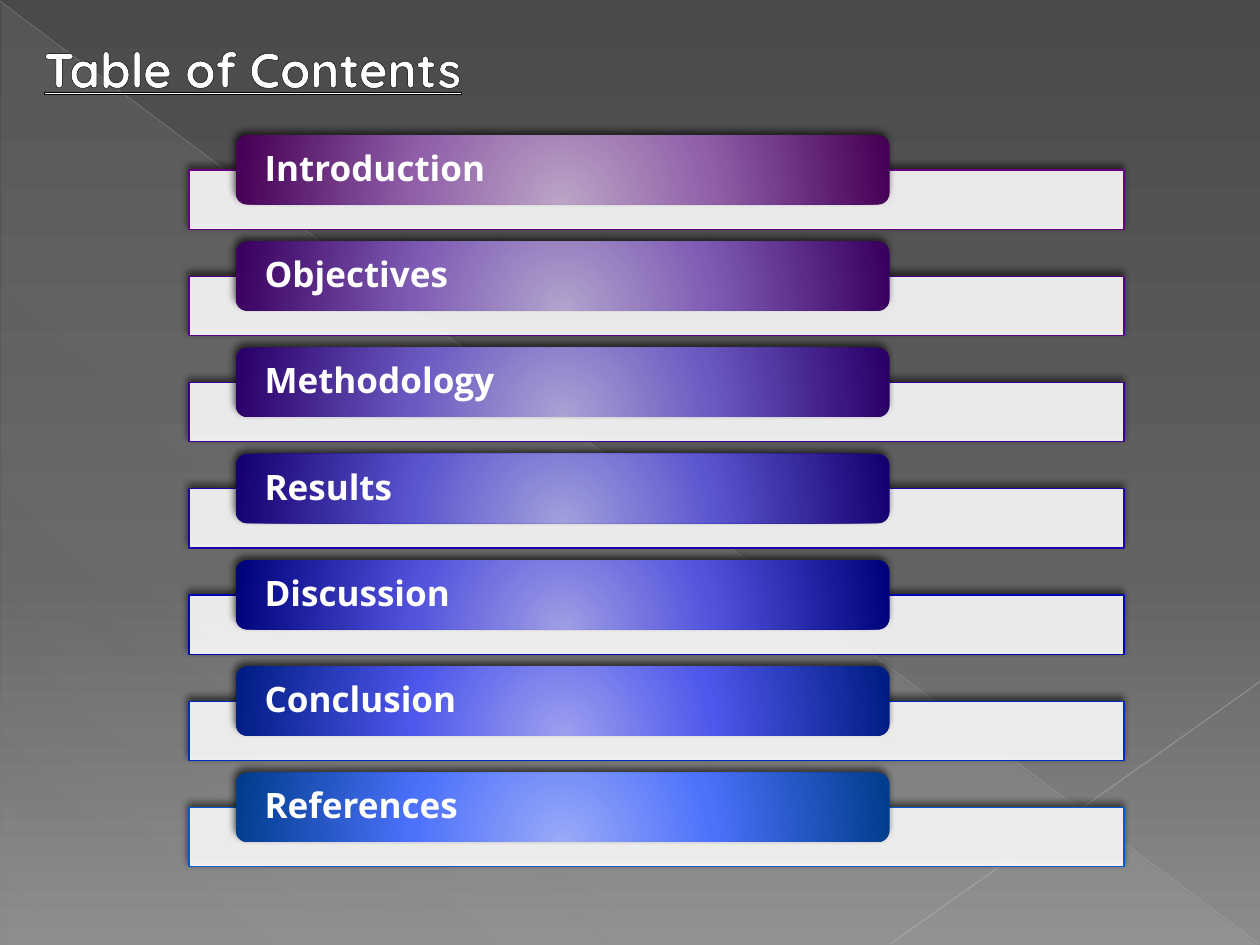
from lxml import etree
from pptx import Presentation
from pptx import util as u
from pptx.dml import color
from pptx.enum import shapes, text
from pptx.oxml import ns

# Content: heading, bar outline, tab gradient colours (centre, middle, edge)
TITLE = "Table of Contents"
SECTIONS = [
    ("Introduction", "68007F", ("BBA5C6", "905FA8", "460055")),
    ("Objectives", "56008D", ("B2A3CD", "7E5CB4", "3A005F")),
    ("Methodology", "3E009B", ("A9A2D4", "6A59C1", "2A0068")),
    ("Results", "2100A9", ("A1A0DC", "5A56CF", "160071")),
    ("Discussion", "0003B7", ("9E9EE5", "5252DD", "00027B")),
    ("Conclusion", "002CC5", ("9C9FEE", "4F57EC", "001D84")),
    ("References", "005BD3", ("9AAAF8", "4C71FB", "003D8E")),
]
BACKGROUND = [(0, "4A4A4A", 100), (60, "626262", 100), (100, "8C8C8C", 100)]
SHEEN = [(0, "D2D2D2", 10), (70, "D2D2D2", 8), (100, "D2D2D2", 1)]
# Decorative lines: start, end, colour, width, opacity
RAYS = [
    ((0, 0.72), (719.28, 539.28), "BFBFBF", 0.39, 35),
    ((720, 389.52), (509.04, 539.28), "C6C6C6", 0.47, 45),
]

# Layout in points
PITCH = 60.72
BAR = (108, 97.2, 534.24, 33.84)
TAB = (134.64, 77.2, 373.68, 39.6)
LABEL = (136.8, 79.2, 370.08, 36)
TITLE_BOX = (18, 18.72, 293.04, 41.04)

TITLE_FONT = {"name": "Quicksand", "size": u.Pt(28), "bold": True, "underline": True}
LABEL_FONT = {"name": "Open Sans", "size": u.Pt(20), "bold": True}
LABEL_FRAME = {
    "margin_left": u.Pt(14.4), "margin_right": u.Pt(14.4),
    "margin_top": 0, "margin_bottom": 0,
    "vertical_anchor": text.MSO_ANCHOR.MIDDLE, "word_wrap": True,
}
TITLE_FRAME = {"word_wrap": True, "auto_size": text.MSO_AUTO_SIZE.SHAPE_TO_FIT_TEXT}


def rgb(value):
    return color.RGBColor.from_string(value)


def points(values):
    return [u.Pt(value) for value in values]


def apply(target, values):
    for name, value in values.items():
        setattr(target, name, value)


def add_child(parent, tag, **attributes):
    child = etree.SubElement(parent, ns.qn(tag))
    for name, value in attributes.items():
        child.set(name, str(value))
    return child


def add_color(parent, value, opacity):
    element = add_child(parent, "a:srgbClr", val=value)
    if opacity < 100:
        add_child(element, "a:alpha", val=opacity * 1000)


def set_gradient(properties, stops, angle=None):
    """Swap the solid fill for a linear gradient, or a circular one without angle."""
    solid = properties.find(ns.qn("a:solidFill"))
    gradient = etree.Element(ns.qn("a:gradFill"), rotWithShape="1")
    stop_list = add_child(gradient, "a:gsLst")
    for position, value, opacity in stops:
        add_color(add_child(stop_list, "a:gs", pos=position * 1000), value, opacity)
    if angle is None:
        circle = add_child(gradient, "a:path", path="circle")
        add_child(circle, "a:fillToRect", l=50000, t=155000, r=50000, b=-55000)
    else:
        add_child(gradient, "a:lin", ang=angle * 60000, scaled=0)
    properties.replace(solid, gradient)


def add_filled(parent, kind, box, fill, line=None):
    shape = parent.add_shape(kind, *points(box))
    shape.shadow.inherit = False
    shape.fill.solid()
    shape.fill.fore_color.rgb = rgb(fill)
    if line:
        shape.line.color.rgb = rgb(line)
        shape.line.width = u.Pt(0.75)
    else:
        shape.line.fill.background()
    return shape


def add_shadow(shape):
    effects = shape.element.spPr.find(ns.qn("a:effectLst"))
    shadow = add_child(effects, "a:outerShdw", blurRad=u.Pt(4), dist=u.Pt(3),
                       dir=245 * 60000, rotWithShape=0)
    add_color(shadow, "000000", 60)


def add_text(parent, box, wording, frame_values, font_values):
    shape = parent.add_textbox(*points(box))
    apply(shape.text_frame, frame_values)
    paragraph = shape.text_frame.paragraphs[0]
    run = paragraph.add_run()
    run.text = wording
    apply(run.font, font_values)
    run.font.color.rgb = rgb("FFFFFF")
    return paragraph, run


def add_ray(slide, start, end, value, width, opacity):
    ray = slide.shapes.add_connector(shapes.MSO_CONNECTOR.STRAIGHT, *points(start + end))
    ray.line.color.rgb = rgb(value)
    ray.line.width = u.Pt(width)
    line_color = ray.element.spPr.find(".//" + ns.qn("a:srgbClr"))
    add_child(line_color, "a:alpha", val=opacity * 1000)
    add_child(ray.element.spPr, "a:effectLst")


def add_section(parent, index, heading, outline, gradient):
    bar, tab, label = [(left, top + index * PITCH, width, height)
                       for left, top, width, height in (BAR, TAB, LABEL)]
    # White bar behind
    shape = add_filled(parent, shapes.MSO_SHAPE.RECTANGLE, bar, "FFFFFF", outline)
    fill_color = shape.element.spPr.find(ns.qn("a:solidFill"))[0]
    add_child(fill_color, "a:alpha", val=90000)
    add_shadow(shape)
    # Coloured tab in front
    shape = add_filled(parent, shapes.MSO_SHAPE.ROUNDED_RECTANGLE, tab, gradient[-1])
    stops = [(position, value, 100) for position, value in zip((0, 46, 100), gradient)]
    set_gradient(shape.element.spPr, stops)
    add_shadow(shape)
    # Heading
    paragraph, _ = add_text(parent, label, heading, LABEL_FRAME, LABEL_FONT)
    paragraph.line_spacing = 0.9


def main():
    presentation = Presentation()
    presentation.slide_width, presentation.slide_height = points((720, 540))
    slide = presentation.slides.add_slide(presentation.slide_layouts[6])

    # Background with sheen and rays
    slide.background.fill.solid()
    slide.background.fill.fore_color.rgb = rgb("626262")
    set_gradient(slide.element.find(".//" + ns.qn("p:bgPr")), BACKGROUND, 90)
    sheen = add_filled(slide.shapes, shapes.MSO_SHAPE.RIGHT_TRIANGLE,
                       (0.72, 1.44, 718.56, 538.56), "D2D2D2")
    set_gradient(sheen.element.spPr, SHEEN, 133)
    for ray in RAYS:
        add_ray(slide, *ray)

    # Section list
    group = slide.shapes.add_group_shape()
    for index, section in enumerate(SECTIONS):
        add_section(group.shapes, index, *section)

    # Title with a black letter outline
    _, run = add_text(slide.shapes, TITLE_BOX, TITLE, TITLE_FRAME, TITLE_FONT)
    outline = etree.Element(ns.qn("a:ln"), w=str(u.Pt(1.06)))
    add_color(add_child(outline, "a:solidFill"), "000000", 100)
    run.font.fill  # the run properties exist once the font is set
    run._r.get_or_add_rPr().insert(0, outline)

    presentation.save("out.pptx")


if __name__ == "__main__":
    main()
